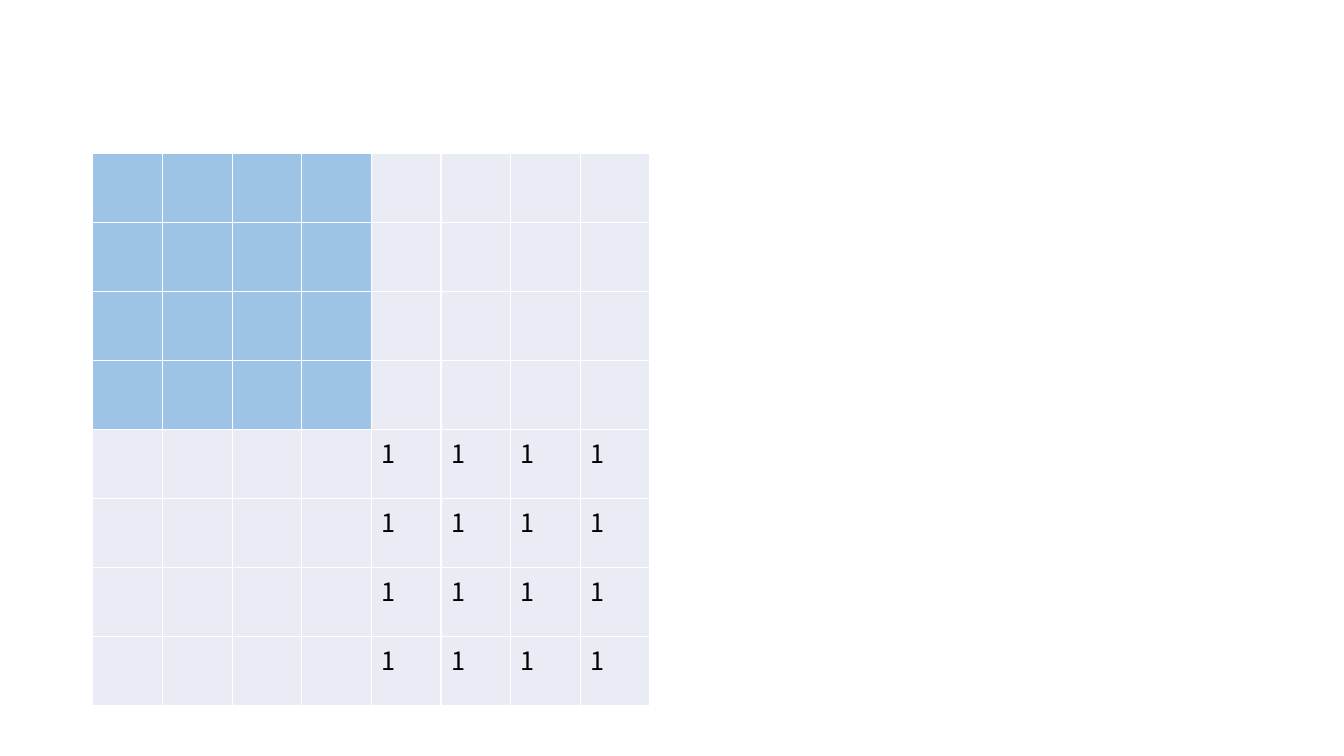
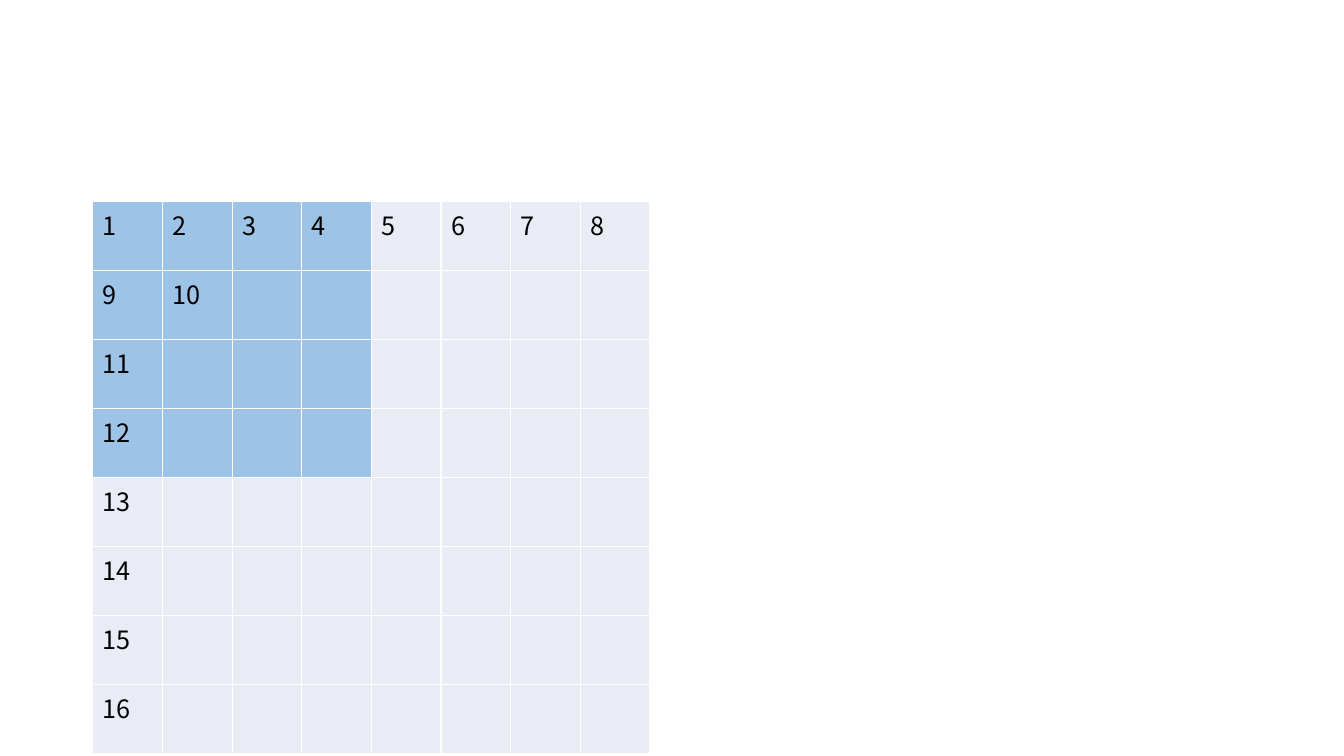
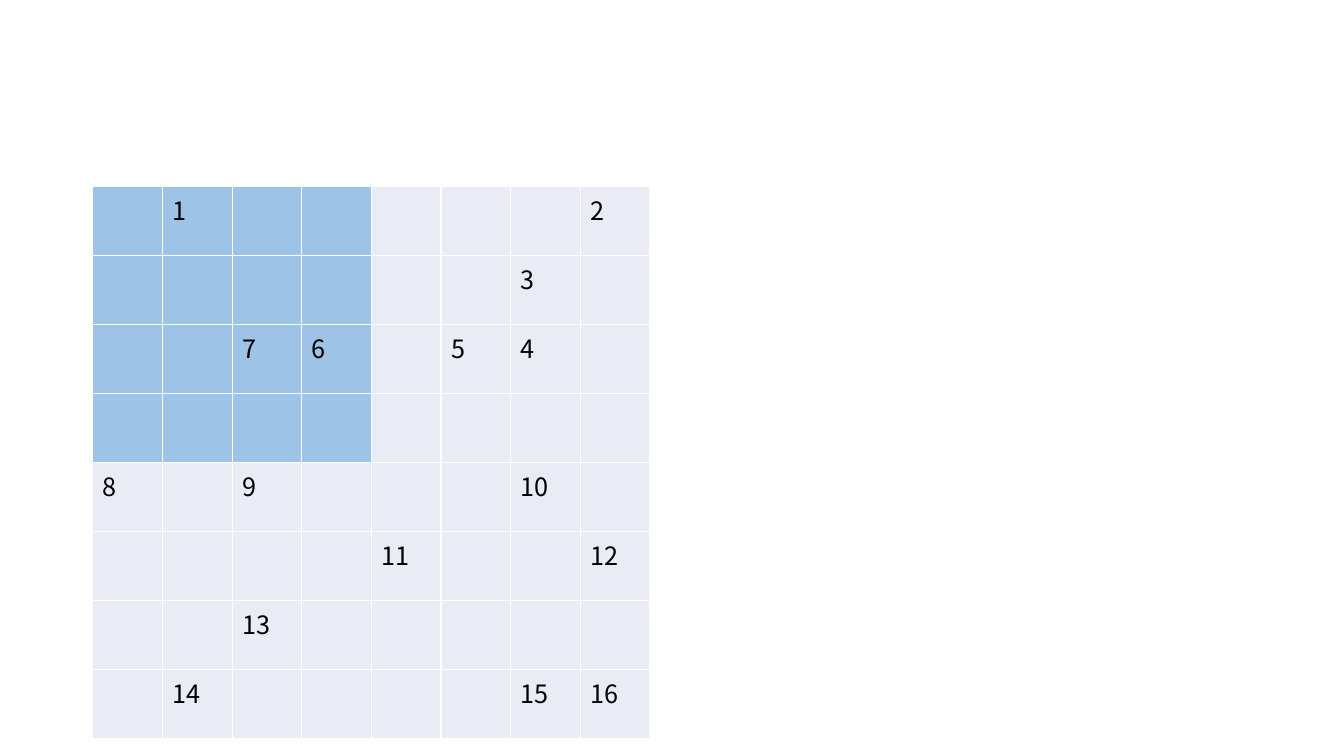
from dataclasses import dataclass

from lxml import etree
from pptx import Presentation, util as u
from pptx.dml.color import RGBColor
from pptx.oxml.ns import qn


@dataclass(frozen=True)
class Theme:
    block: str = "9DC3E6"
    plain: str = "E9EBF5"
    border: str = "FFFFFF"
    ink: str = "000000"
    font: str = "Noto Sans CJK SC"
    text_pt: float = 18
    border_pt: float = 1


@dataclass(frozen=True)
class Matrix:
    """A square matrix: its top in inches and its labels by (row, column)."""
    top: float
    labels: dict[tuple[int, int], str]


THEME = Theme()
SLIDE_W, SLIDE_H = 13.33, 7.5
SIZE = 8
BLOCK = SIZE // 2
LEFT, WIDTH, HEIGHT = 0.92, 5.53, 5.48


def number_cells(positions: list[tuple[int, int]]) -> dict[tuple[int, int], str]:
    """Label the positions 1, 2, 3... in the order given."""
    return {position: str(n) for n, position in enumerate(positions, start=1)}


LOWER_RIGHT = range(BLOCK, SIZE)
MATRICES = [
    Matrix(1.52, {(row, col): "1" for row in LOWER_RIGHT for col in LOWER_RIGHT}),
    Matrix(2, number_cells([(0, col) for col in range(SIZE)]
                           + [(1, 0), (1, 1)]
                           + [(row, 0) for row in range(2, SIZE)])),
    Matrix(1.85, number_cells([(0, 1), (0, 7), (1, 6), (2, 6),
                               (2, 5), (2, 3), (2, 2), (4, 0),
                               (4, 2), (4, 6), (5, 4), (5, 7),
                               (6, 2), (7, 1), (7, 6), (7, 7)])),
]


def write_text(tf, content: str, *, size: float = THEME.text_pt,
               font: str = THEME.font, color: str = THEME.ink) -> None:
    p = tf.paragraphs[0]
    r = p.add_run()
    r.text = content
    r.font.size = u.Pt(size)
    r.font.name = font
    r.font.color.rgb = RGBColor.from_string(color)


def add_borders(cell) -> None:
    tc_pr = cell._tc.get_or_add_tcPr()
    for side in ("lnL", "lnR", "lnT", "lnB"):
        ln = etree.SubElement(tc_pr, qn(f"a:{side}"), w=str(u.Pt(THEME.border_pt)))
        fill = etree.SubElement(ln, qn("a:solidFill"))
        etree.SubElement(fill, qn("a:srgbClr"), val=THEME.border)


def add_matrix(slide, matrix: Matrix) -> None:
    """Draw the matrix with its upper-left quarter highlighted."""
    frame = slide.shapes.add_table(SIZE, SIZE, u.Inches(LEFT), u.Inches(matrix.top),
                                   u.Inches(WIDTH), u.Inches(HEIGHT))
    table = frame.table
    table.first_row = table.horz_banding = False
    for row in range(SIZE):
        for col in range(SIZE):
            cell = table.cell(row, col)
            add_borders(cell)
            color = THEME.block if max(row, col) < BLOCK else THEME.plain
            cell.fill.solid()
            cell.fill.fore_color.rgb = RGBColor.from_string(color)
            if (row, col) in matrix.labels:
                write_text(cell.text_frame, matrix.labels[row, col])


def main() -> None:
    prs = Presentation()
    prs.slide_width, prs.slide_height = u.Inches(SLIDE_W), u.Inches(SLIDE_H)
    blank = prs.slide_layouts[6]
    for matrix in MATRICES:
        add_matrix(prs.slides.add_slide(blank), matrix)
    prs.save("out.pptx")


if __name__ == "__main__":
    main()
